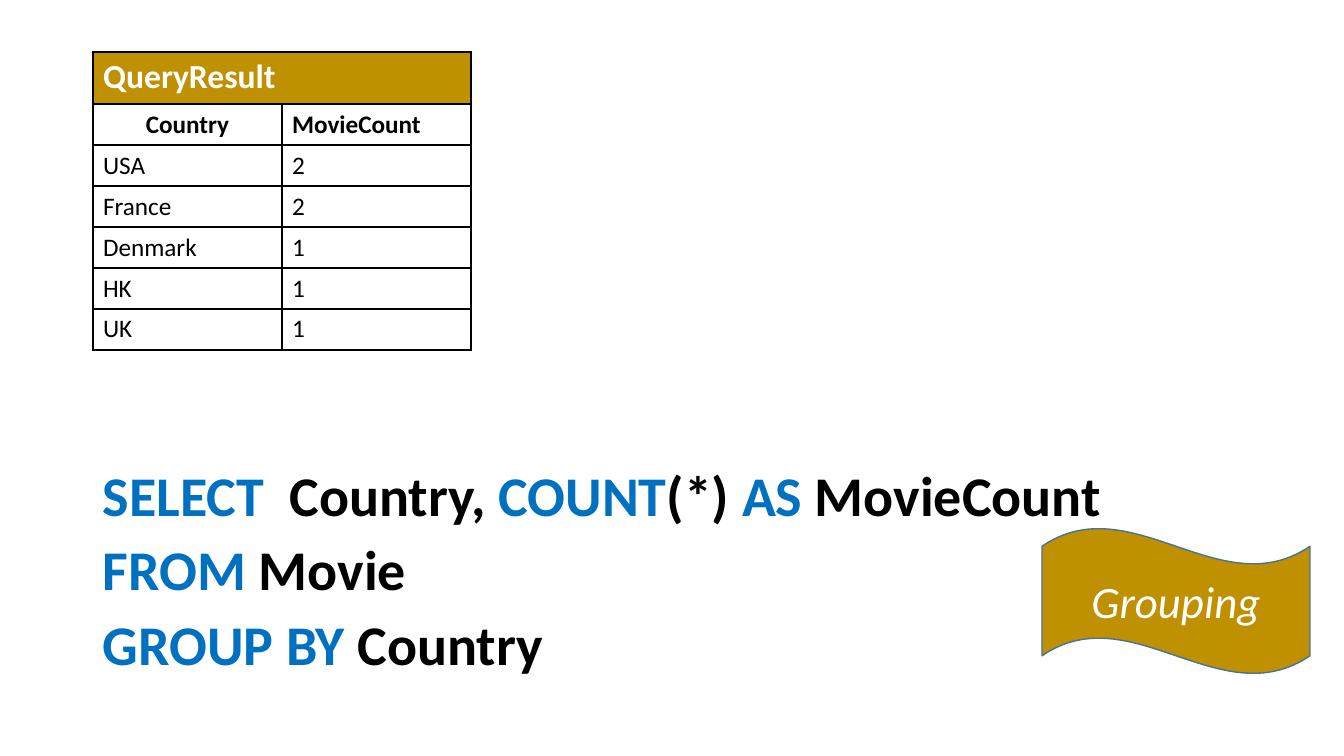
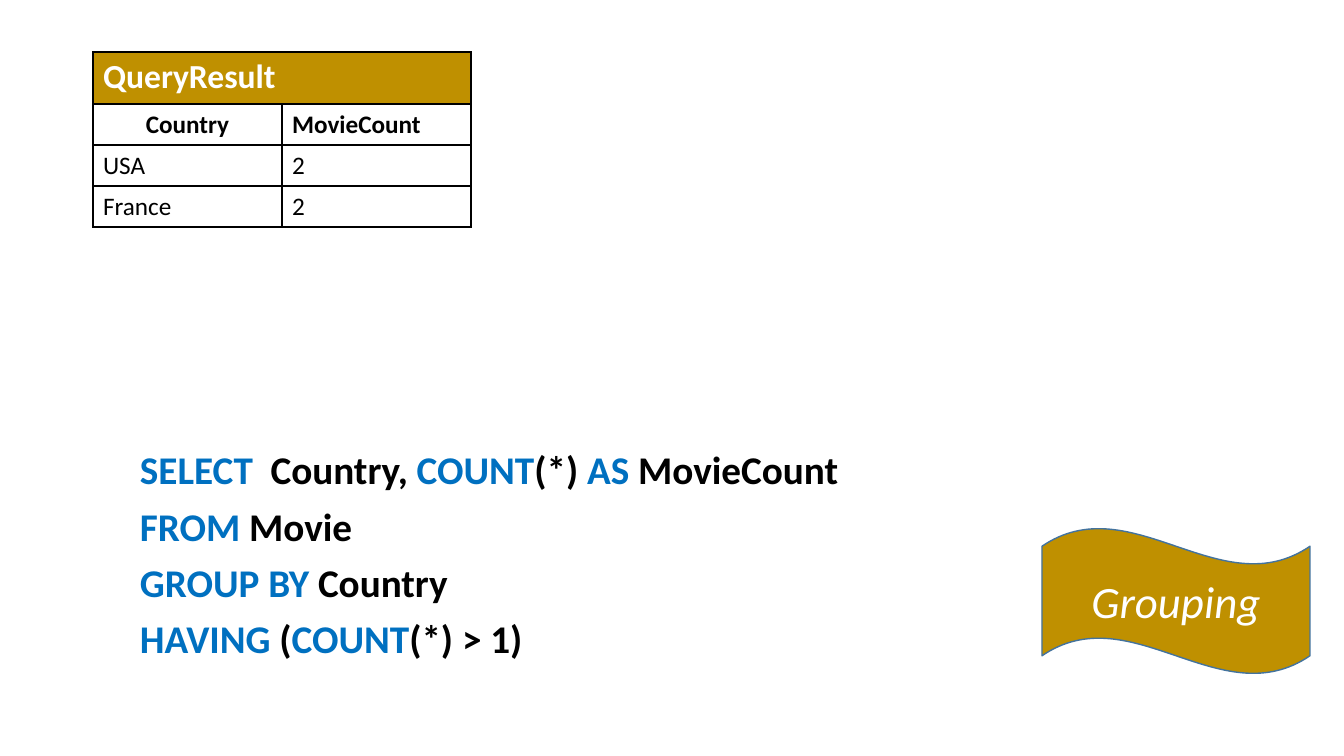
import itertools
import lxml.etree
import pptx
import pptx.dml.color
import pptx.enum.shapes
import pptx.enum.text
import pptx.oxml
import pptx.oxml.ns
import pptx.util

RGB = pptx.dml.color.RGBColor
GOLD = RGB(0xBF, 0x90, 0x00)
BLUE = RGB(0x00, 0x70, 0xC0)
STEEL = RGB(0x43, 0x73, 0x9E)
BLACK = RGB(0, 0, 0)
WHITE = RGB(255, 255, 255)
FONT = "Calibri"
CENTER = pptx.enum.text.PP_ALIGN.CENTER
LEFT = pptx.enum.text.PP_ALIGN.LEFT
EMU_PER_PX = 12192000 / 1344

HEADER = ("Country", "MovieCount")
COUNTS = [("USA", "2"), ("France", "2"), ("Denmark", "1"), ("HK", "1"), ("UK", "1")]

# Each line alternates keyword and plain text.
QUERY = [
    ("SELECT", "  Country, ", "COUNT", "(*) ", "AS", " MovieCount"),
    ("FROM", " Movie"),
    ("GROUP BY ", "Country"),
]
HAVING = ("HAVING ", "(", "COUNT", "(*) > 1)")

SLIDES = [
    {"rows": COUNTS, "query": QUERY, "box": (93, 463, 1159, 268), "size": 40},
    {"rows": COUNTS[:2], "query": QUERY + [HAVING], "box": (130, 446, 1122, 249), "size": 28},
]
TABLE_LEFT, TABLE_TOP, COLUMN_WIDTH = 93, 52, 189
TITLE_HEIGHT, ROW_HEIGHT = 52, 41
WAVE_BOX = (1042, 528, 268, 146)


def px(*lengths):
    return [pptx.util.Emu(round(n * EMU_PER_PX)) for n in lengths]


def write(p, text, size=18, color=BLACK, bold=False, italic=False, align=LEFT):
    p.alignment = align
    r = p.add_run()
    r.text = text
    r.font.name = FONT
    r.font.size = pptx.util.Pt(size)
    r.font.color.rgb = color
    r.font.bold = bold
    r.font.italic = italic


def add_borders(cell):
    tcPr = cell._tc.get_or_add_tcPr()
    for side in ("a:lnL", "a:lnR", "a:lnT", "a:lnB"):
        ln = lxml.etree.SubElement(tcPr, pptx.oxml.ns.qn(side), w=str(pptx.util.Pt(1)))
        fill = lxml.etree.SubElement(ln, pptx.oxml.ns.qn("a:solidFill"))
        lxml.etree.SubElement(fill, pptx.oxml.ns.qn("a:srgbClr"), val=str(BLACK))


def add_query(s, lines, box, size):
    tf = s.shapes.add_textbox(*px(*box)).text_frame
    tf.word_wrap = True
    for i, line in enumerate(lines):
        p = tf.add_paragraph() if i else tf.paragraphs[0]
        p.line_spacing = 0.9
        p.space_before = pptx.util.Pt(10 if i else 0)
        for text, color in zip(line, itertools.cycle((BLUE, BLACK))):
            write(p, text, size=size, color=color, bold=True)


def add_result(s, rows):
    grid = [HEADER] + rows
    height = TITLE_HEIGHT + ROW_HEIGHT * len(grid)
    frame = s.shapes.add_table(
        len(grid) + 1, 2, *px(TABLE_LEFT, TABLE_TOP, 2 * COLUMN_WIDTH, height))
    table = frame.table
    table.first_row = table.horz_banding = False
    for column in table.columns:
        column.width = px(COLUMN_WIDTH)[0]
    for i, row in enumerate(table.rows):
        row.height = px(ROW_HEIGHT if i else TITLE_HEIGHT)[0]
        for cell in row.cells:
            add_borders(cell)
            cell.fill.background()
    title = table.cell(0, 0)
    title.merge(table.cell(0, 1))
    title.fill.solid()
    title.fill.fore_color.rgb = GOLD
    write(title.text_frame.paragraphs[0], "QueryResult", size=24, color=WHITE, bold=True)
    for i, values in enumerate(grid):
        for j, value in enumerate(values):
            write(table.cell(i + 1, j).text_frame.paragraphs[0], value, bold=i == 0,
                  align=CENTER if i == j == 0 else LEFT)


def add_wave(s):
    sp = s.shapes.add_shape(pptx.enum.shapes.MSO_SHAPE.WAVE, *px(*WAVE_BOX))
    sp.shadow.inherit = False
    sp.fill.solid()
    sp.fill.fore_color.rgb = GOLD
    sp.line.color.rgb = STEEL
    sp.line.width = pptx.util.Pt(1)
    sp.text_frame.vertical_anchor = pptx.enum.text.MSO_ANCHOR.MIDDLE
    write(sp.text_frame.paragraphs[0], "Grouping", size=32, color=WHITE, italic=True,
          align=CENTER)


def main():
    prs = pptx.Presentation()
    prs.slide_width, prs.slide_height = px(1344, 756)
    for content in SLIDES:
        s = prs.slides.add_slide(prs.slide_layouts[6])
        add_query(s, content["query"], content["box"], content["size"])
        add_result(s, content["rows"])
        add_wave(s)
    prs.save("out.pptx")


if __name__ == "__main__":
    main()
